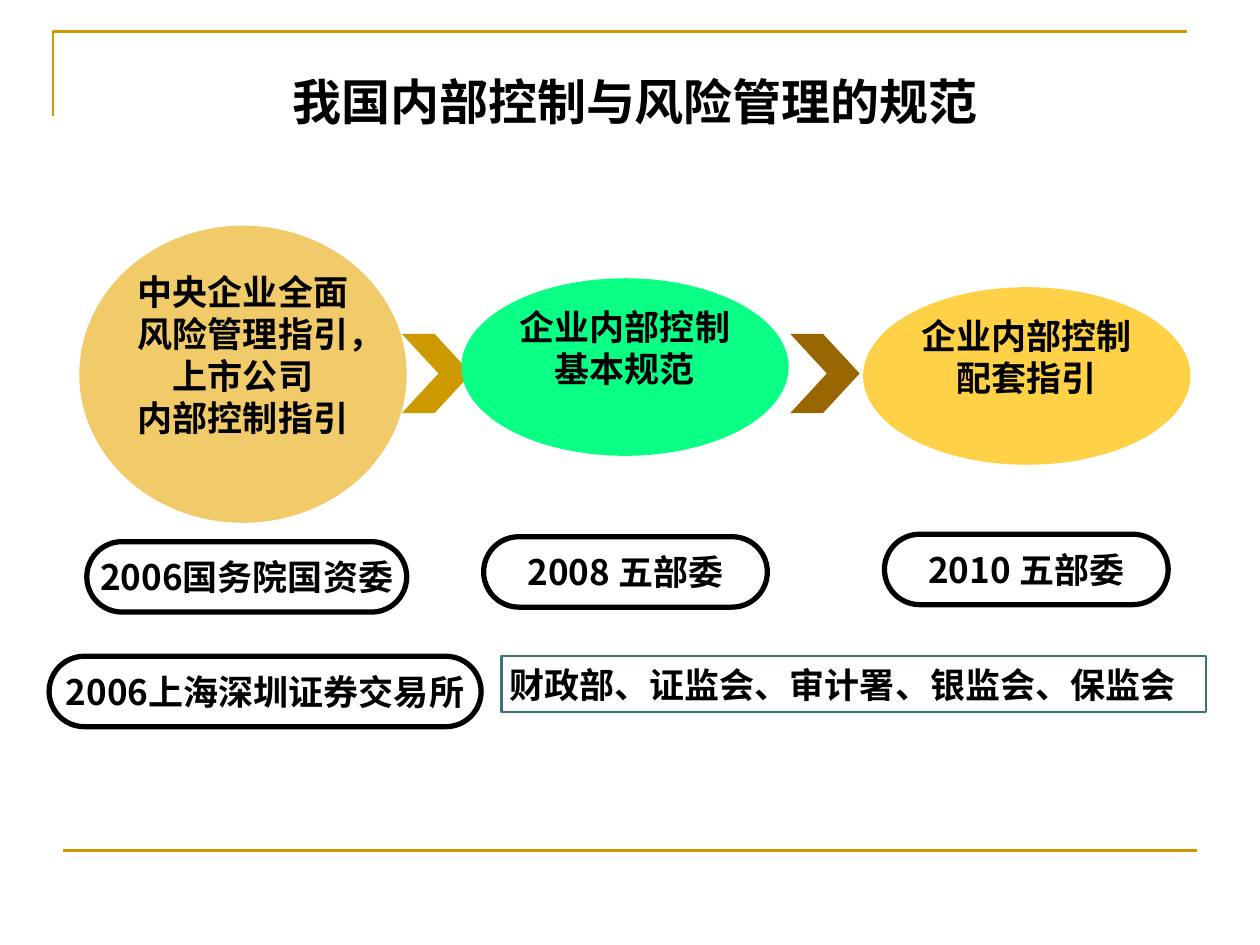
from dataclasses import dataclass

import pptx
import pptx.dml.color
import pptx.enum.shapes
import pptx.enum.text
import pptx.oxml.ns
import pptx.util
from lxml import etree

Cm = pptx.util.Cm
Pt = pptx.util.Pt
SHAPES = pptx.enum.shapes.MSO_SHAPE
ALIGN = pptx.enum.text.PP_ALIGN
ANCHOR = pptx.enum.text.MSO_ANCHOR


@dataclass(frozen=True)
class Theme:
    font: str = "Noto Sans CJK SC"
    title_size: float = 28
    body_size: float = 20
    line_spacing: float = 1.2
    ink: str = "000000"
    gold: str = "CC9900"
    brown: str = "996600"
    sand: str = "F1CA69"
    green: str = "0AFF85"
    yellow: str = "FFD147"
    teal: str = "3A727E"


@dataclass(frozen=True)
class Regulation:
    left: float
    top: float
    height: float
    fill: str
    lines: tuple[str, ...]


@dataclass(frozen=True)
class Issuer:
    left: float
    top: float
    width: float
    text: str


@dataclass(frozen=True)
class Chevron:
    left: float
    fill: str


THEME = Theme()
REGULATION_WIDTH = 6.6
ISSUER_HEIGHT = 1.42
CHEVRON_TOP = 6.73
CHEVRON_OUTLINE = ((0, 0), (0.66, 0), (1.4, 0.8), (0.66, 1.6), (0, 1.6), (0.74, 0.8))

REGULATIONS = (
    Regulation(1.6, 4.55, 5.99, THEME.sand,
               ("中央企业全面", "风险管理指引，", "上市公司", "内部控制指引")),
    Regulation(9.3, 5.61, 3.58, THEME.green, ("企业内部控制", "基本规范")),
    Regulation(17.4, 5.79, 3.58, THEME.yellow, ("企业内部控制", "配套指引")),
)
ISSUERS = (
    Issuer(1.75, 10.92, 6.45, "2006国务院国资委"),
    Issuer(9.75, 10.82, 5.72, "2008 五部委"),
    Issuer(17.83, 10.77, 5.72, "2010 五部委"),
    Issuer(0.99, 13.23, 8.71, "2006上海深圳证券交易所"),
)
CHEVRONS = (Chevron(8.1, THEME.gold), Chevron(15.93, THEME.brown))


def rgb(color: str) -> pptx.dml.color.RGBColor:
    return pptx.dml.color.RGBColor.from_string(color)


def paint(shape, *, fill: str | None = None, line: str | None = None, width: float = 1) -> None:
    shape.shadow.inherit = False
    if fill:
        shape.fill.solid()
        shape.fill.fore_color.rgb = rgb(fill)
    else:
        shape.fill.background()
    if line:
        shape.line.color.rgb = rgb(line)
        shape.line.width = Pt(width)
    else:
        shape.line.fill.background()


def write(shape, *lines: str, size: float = THEME.body_size, align=ALIGN.CENTER,
          anchor=ANCHOR.MIDDLE, wrap: bool = True,
          insets: tuple[float, float, float, float] = (0.25, 0.13, 0.25, 0.13)) -> None:
    """Fill the shape with one paragraph a line; insets are left, top, right, bottom."""
    frame = shape.text_frame
    frame.word_wrap = wrap
    frame.vertical_anchor = anchor
    (frame.margin_left, frame.margin_top,
     frame.margin_right, frame.margin_bottom) = map(Cm, insets)
    for index, line in enumerate(lines):
        paragraph = frame.add_paragraph() if index else frame.paragraphs[0]
        paragraph.alignment = align
        paragraph.line_spacing = Pt(size * THEME.line_spacing)
        run = paragraph.add_run()
        run.text = line
        run.font.name = THEME.font
        run.font.size = Pt(size)
        run.font.bold = True
        run.font.color.rgb = rgb(THEME.ink)
        east_asian = etree.SubElement(run.font._element, pptx.oxml.ns.qn("a:ea"))
        east_asian.set("typeface", THEME.font)


def add_outline(slide, points, *, closed: bool):
    (start_x, start_y), *rest = [(Cm(x), Cm(y)) for x, y in points]
    builder = slide.shapes.build_freeform(start_x, start_y)
    builder.add_line_segments(rest, close=closed)
    return builder.convert_to_shape()


def add_frame(slide) -> None:
    """Draw the gold corner above the title and the gold rule at the foot."""
    corner = add_outline(slide, ((1.07, 2.34), (1.07, 0.64), (23.93, 0.64)), closed=False)
    paint(corner, line=THEME.gold, width=1.5)
    rule = slide.shapes.add_connector(
        pptx.enum.shapes.MSO_CONNECTOR.STRAIGHT, Cm(1.27), Cm(17.15), Cm(24.13), Cm(17.15))
    rule.line.color.rgb = rgb(THEME.gold)
    rule.line.width = Pt(1.5)
    etree.SubElement(rule._element.spPr, pptx.oxml.ns.qn("a:effectLst"))


def add_title(slide, text: str) -> None:
    title = slide.shapes.add_textbox(Cm(1.98), Cm(1.32), Cm(21.64), Cm(1.8))
    write(title, text, size=THEME.title_size, anchor=ANCHOR.TOP)


def add_chevron(slide, chevron: Chevron) -> None:
    points = [(chevron.left + x, CHEVRON_TOP + y) for x, y in CHEVRON_OUTLINE]
    paint(add_outline(slide, points, closed=True), fill=chevron.fill)


def add_regulation(slide, regulation: Regulation) -> None:
    ellipse = slide.shapes.add_shape(
        SHAPES.OVAL, Cm(regulation.left), Cm(regulation.top),
        Cm(REGULATION_WIDTH), Cm(regulation.height))
    paint(ellipse, fill=regulation.fill)
    write(ellipse, *regulation.lines, insets=(0.1, 0, 0.1, 0.8))


def add_issuer(slide, issuer: Issuer) -> None:
    pill = slide.shapes.add_shape(
        SHAPES.ROUNDED_RECTANGLE, Cm(issuer.left), Cm(issuer.top),
        Cm(issuer.width), Cm(ISSUER_HEIGHT))
    pill.adjustments[0] = 0.5
    paint(pill, line=THEME.ink, width=3)
    write(pill, issuer.text, wrap=False)


def add_ministries(slide, text: str) -> None:
    box = slide.shapes.add_shape(SHAPES.RECTANGLE, Cm(10.11), Cm(13.23), Cm(14.2), Cm(1.12))
    paint(box, line=THEME.teal, width=1.25)
    write(box, text, align=ALIGN.LEFT, insets=(0.16, 0.13, 0, 0.13))


def main() -> None:
    presentation = pptx.Presentation()
    presentation.slide_width, presentation.slide_height = Cm(25.4), Cm(19.05)
    slide = presentation.slides.add_slide(presentation.slide_layouts[6])
    add_frame(slide)
    add_title(slide, "我国内部控制与风险管理的规范")
    for chevron in CHEVRONS:
        add_chevron(slide, chevron)
    for regulation in REGULATIONS:
        add_regulation(slide, regulation)
    for issuer in ISSUERS:
        add_issuer(slide, issuer)
    add_ministries(slide, "财政部、证监会、审计署、银监会、保监会")
    presentation.save("out.pptx")


if __name__ == "__main__":
    main()
